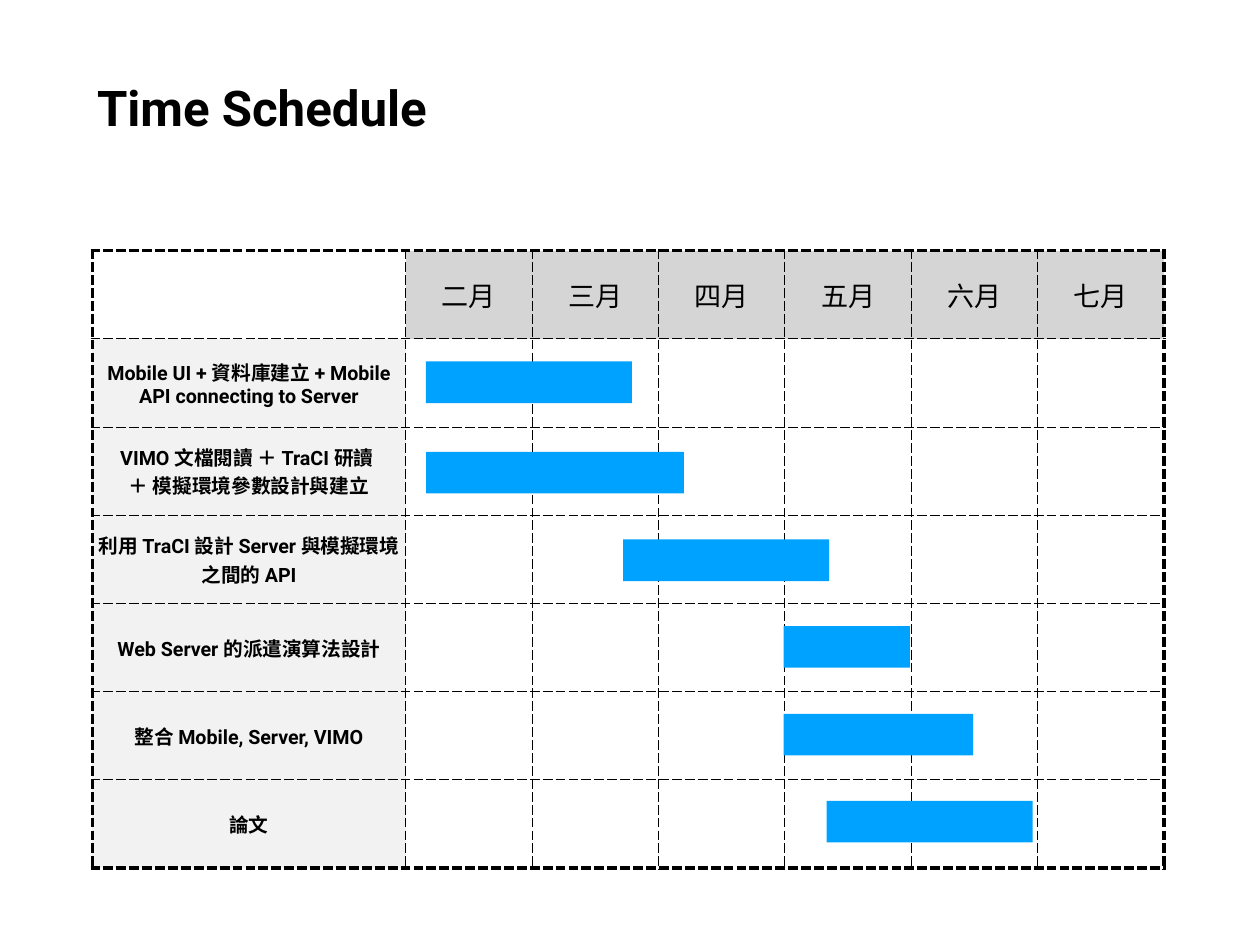
from dataclasses import dataclass

from lxml import etree
from pptx import Presentation
from pptx.dml.color import RGBColor
from pptx.enum.shapes import MSO_SHAPE
from pptx.enum.text import MSO_ANCHOR, PP_ALIGN
from pptx.oxml.ns import qn
from pptx.util import Pt

RECT = MSO_SHAPE.RECTANGLE
MIDDLE = MSO_ANCHOR.MIDDLE
CENTER, LEFT = PP_ALIGN.CENTER, PP_ALIGN.LEFT


@dataclass(frozen=True)
class Theme:
    font: str = "Roboto"
    ink: str = "000000"
    header: str = "D6D5D5"
    label: str = "F2F2F2"
    bar: str = "00A2FF"
    title_size: int = 40
    month_size: int = 22
    task_size: int = 16
    frame_line: int = 3
    grid_line: int = 1
    inset: float = 4


@dataclass(frozen=True)
class Box:
    x: float
    y: float
    w: float
    h: float


@dataclass(frozen=True)
class Task:
    name: str
    start: float
    months: float
    drop: float


THEME = Theme()
LABEL_W = 254.9
BAR_H = 33.8
MONTHS = ["二月", "三月", "四月", "五月", "六月", "七月"]
TASKS = [
    Task("Mobile UI + 資料庫建立 + Mobile API connecting to Server", 0.16, 1.63, 18.3),
    Task("VIMO 文檔閱讀 ＋ TraCI 研讀 \n＋ 模擬環境參數設計與建立", 0.16, 2.04, 20),
    Task("利用 TraCI 設計 Server 與模擬環境之間的 API", 1.72, 1.63, 19.6),
    Task("Web Server 的派遣演算法設計", 2.99, 1, 18.4),
    Task("整合 Mobile, Server, VIMO", 2.99, 1.5, 18),
    Task("論文", 3.33, 1.63, 16.9),
]


def set_text(tf, text, size, bold, align):
    p = tf.paragraphs[0]
    p.text = text
    p.alignment = align
    for r in p.runs:
        r.font.name = THEME.font
        r.font.size = Pt(size)
        r.font.bold = bold
        r.font.color.rgb = RGBColor.from_string(THEME.ink)


def set_insets(obj):
    obj.margin_left = obj.margin_right = Pt(THEME.inset)
    obj.margin_top = obj.margin_bottom = Pt(THEME.inset)
    obj.vertical_anchor = MIDDLE


def set_fill(cell, color):
    if color:
        cell.fill.solid()
        cell.fill.fore_color.rgb = RGBColor.from_string(color)
    else:
        cell.fill.background()


def set_borders(cell, outer_sides):
    tc_pr = cell._tc.get_or_add_tcPr()
    for i, side in enumerate("LRTB"):
        width = THEME.frame_line if side in outer_sides else THEME.grid_line
        ln = etree.Element(qn(f"a:ln{side}"), w=str(Pt(width)))
        fill = etree.SubElement(ln, qn("a:solidFill"))
        etree.SubElement(fill, qn("a:srgbClr"), val=THEME.ink)
        etree.SubElement(ln, qn("a:prstDash"), val="dash")
        tc_pr.insert(i, ln)


def add_title(slide, box, text):
    sp = slide.shapes.add_textbox(Pt(box.x), Pt(box.y), Pt(box.w), Pt(box.h))
    tf = sp.text_frame
    tf.word_wrap = True
    set_insets(tf)
    set_text(tf, text, THEME.title_size, True, LEFT)


def add_schedule(slide, box):
    n_rows, n_cols = len(TASKS) + 1, len(MONTHS) + 1
    month_w = (box.w - LABEL_W) / len(MONTHS)
    row_h = box.h / n_rows
    frame = slide.shapes.add_table(
        n_rows, n_cols, Pt(box.x), Pt(box.y), Pt(box.w), Pt(box.h)
    )
    table = frame.table
    table.first_row = table.horz_banding = False
    for c, column in enumerate(table.columns):
        column.width = Pt(month_w if c else LABEL_W)
    for r, row in enumerate(table.rows):
        row.height = Pt(row_h)
        for c, cell in enumerate(row.cells):
            set_insets(cell)
            color = None
            if r == 0 and c > 0:
                color = THEME.header
                set_text(cell.text_frame, MONTHS[c - 1], THEME.month_size, False, CENTER)
            elif r > 0 and c == 0:
                color = THEME.label
                set_text(cell.text_frame, TASKS[r - 1].name, THEME.task_size, True, CENTER)
            set_fill(cell, color)
            edges = {"L": c == 0, "R": c == n_cols - 1, "T": r == 0, "B": r == n_rows - 1}
            set_borders(cell, [side for side, outer in edges.items() if outer])
    months_box = Box(box.x + LABEL_W, box.y + row_h, box.w - LABEL_W, box.h - row_h)
    add_bars(slide, months_box)


def add_bars(slide, box):
    month_w = box.w / len(MONTHS)
    row_h = box.h / len(TASKS)
    for i, task in enumerate(TASKS):
        sp = slide.shapes.add_shape(
            RECT,
            Pt(box.x + task.start * month_w),
            Pt(box.y + i * row_h + task.drop),
            Pt(task.months * month_w),
            Pt(BAR_H),
        )
        sp.shadow.inherit = False
        sp.fill.solid()
        sp.fill.fore_color.rgb = RGBColor.from_string(THEME.bar)
        sp.line.fill.background()


def main():
    prs = Presentation()
    prs.slide_width, prs.slide_height = Pt(1024), Pt(768)
    slide = prs.slides.add_slide(prs.slide_layouts[6])
    add_schedule(slide, Box(74.9, 203.8, 871.1, 501.8))
    add_title(slide, Box(74.9, 2, 874, 170), "Time Schedule")
    prs.save("out.pptx")


if __name__ == "__main__":
    main()
